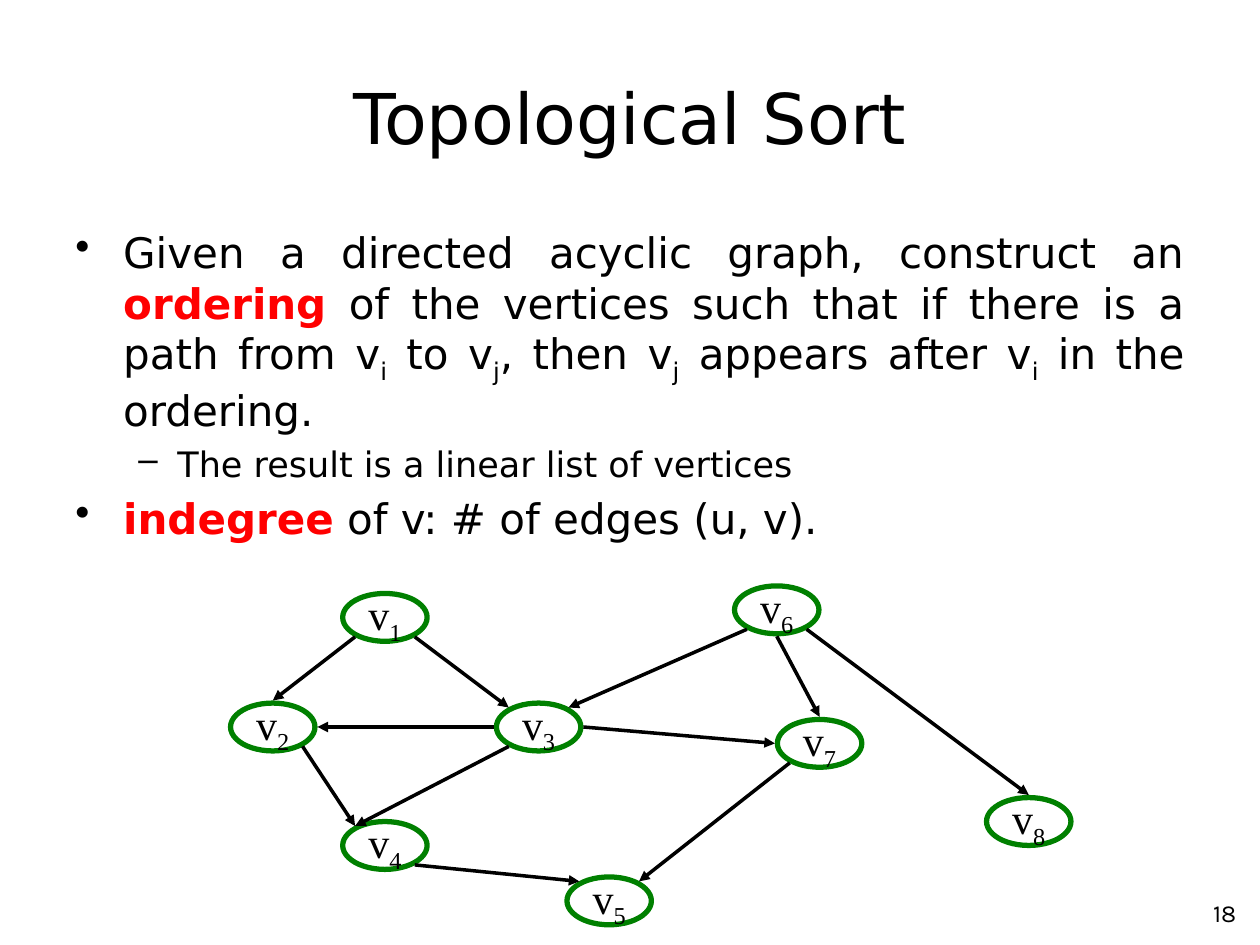
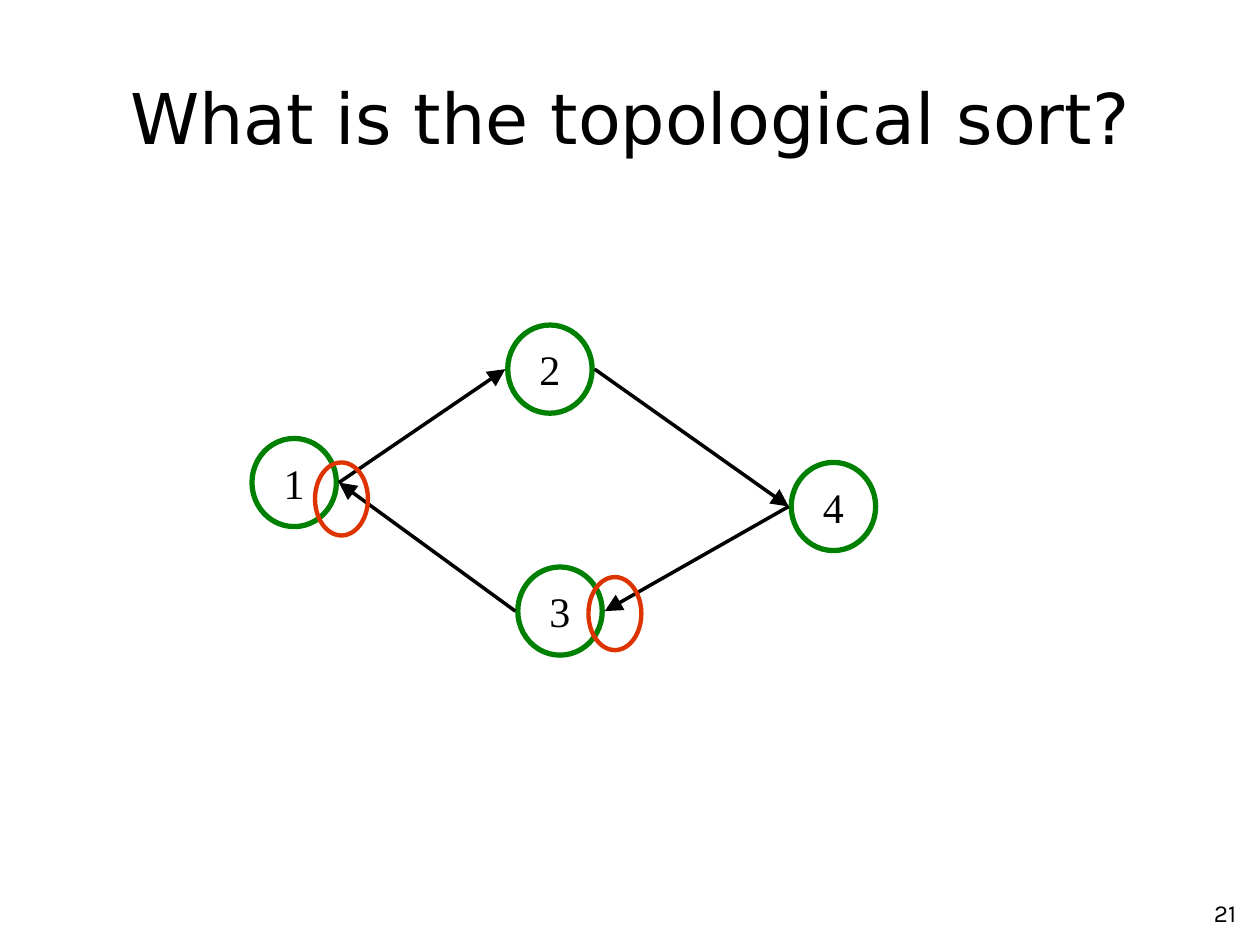
from lxml import etree
from pptx import Presentation
from pptx import util as u
from pptx.dml.color import RGBColor
from pptx.enum import shapes, text
from pptx.oxml import ns

BLACK, WHITE, RED, GREEN, ORANGE = "000000", "FFFFFF", "FF0000", "008000", "DD3300"
SANS, SERIF, NUMBER_FONT = "DejaVu Sans", "Times New Roman", "Karla"
STROKE_GAP = 0.02

BULLETS = [
    (0, [("Given a directed acyclic graph, construct an ", ""), ("ordering", "key"),
         (" of the vertices such that if there is a path from v", ""), ("i", "sub"),
         (" to v", ""), ("j", "sub"), (", then v", ""), ("j", "sub"),
         (" appears after v", ""), ("i", "sub"), (" in the ordering.", "")]),
    (1, [("The result is a linear list of vertices", "")]),
    (0, [("indegree", "key"), (" of v: # of edges (u, v).", "")]),
]
LEVELS = [
    {"bullet": "•", "size": 24, "indent": 0.38, "hanging": 0.38},
    {"bullet": "–", "size": 20, "indent": 0.81, "hanging": 0.31},
]

DAG = {
    "node_size": (0.67, 0.38),
    "arrow": "med",
    "nodes": {
        "v1": (2.72, 4.71), "v2": (1.83, 5.58), "v3": (3.94, 5.58), "v4": (2.72, 6.52),
        "v5": (4.5, 6.96), "v6": (5.83, 4.65), "v7": (6.17, 5.71), "v8": (7.83, 6.33),
    },
    "edges": [
        ("v1", "bottom right", "v3", "top left"),
        ("v1", "bottom left", "v2", "top"),
        ("v2", "bottom right", "v4", "top left"),
        ("v3", "left", "v2", "right"),
        ("v3", "bottom left", "v4", "top left"),
        ("v3", "right", "v7", "left"),
        ("v4", "bottom right", "v5", "top left"),
        ("v6", "bottom left", "v3", "top right"),
        ("v6", "bottom", "v7", "top"),
        ("v6", "bottom right", "v8", "top"),
        ("v7", "bottom left", "v5", "top right"),
    ],
}
CYCLE = {
    "node_size": (0.67, 0.7),
    "arrow": "lg",
    "nodes": {"1": (2, 3.48), "2": (4.03, 2.58), "3": (4.11, 4.5), "4": (6.28, 3.67)},
    "edges": [
        ("1", "right", "2", "left"),
        ("2", "right", "4", "left"),
        ("4", "left", "3", "right"),
        ("3", "left", "1", "right"),
    ],
}
ARROWHEAD_MARKS = [(4.67, 4.58), (2.5, 3.67)]
MARK_SIZE = (0.42, 0.58)


def color(value):
    return RGBColor.from_string(value)


def inches(*values):
    return [u.Inches(value) for value in values]


def add_run(paragraph, content, style, size, font):
    run = paragraph.add_run()
    run.text = content
    run.font.name, run.font.size = font, u.Pt(size)
    run.font.bold = style == "key"
    run.font.color.rgb = color(RED if style == "key" else BLACK)
    if style == "sub":
        run.font._element.set("baseline", "-25000")


def add_text(slide, box, content, size, font, align, anchor=text.MSO_ANCHOR.TOP):
    frame = slide.shapes.add_textbox(*inches(*box)).text_frame
    frame.word_wrap = True
    frame.vertical_anchor = anchor
    paragraph = frame.paragraphs[0]
    paragraph.alignment = align
    add_run(paragraph, content, "", size, font)


def set_bullet(paragraph, level):
    properties = paragraph._p.get_or_add_pPr()
    properties.set("marL", str(u.Inches(level["indent"])))
    properties.set("indent", str(-u.Inches(level["hanging"])))
    bullet_color = etree.SubElement(properties, ns.qn("a:buClr"))
    etree.SubElement(bullet_color, ns.qn("a:srgbClr"), val=BLACK)
    etree.SubElement(properties, ns.qn("a:buChar"), char=level["bullet"])


def add_bullets(slide):
    frame = slide.shapes.add_textbox(*inches(0.5, 1.75, 9, 4.95)).text_frame
    frame.word_wrap = True
    for index, (depth, pieces) in enumerate(BULLETS):
        level = LEVELS[depth]
        paragraph = frame.add_paragraph() if index else frame.paragraphs[0]
        paragraph.level = depth
        set_bullet(paragraph, level)
        paragraph.alignment = text.PP_ALIGN.JUSTIFY
        if index:
            paragraph.space_before = u.Pt(level["size"] * 0.2)
        for content, style in pieces:
            add_run(paragraph, content, style, level["size"], SANS)


def add_ellipse(slide, position, size, line_color, line_width):
    shape = slide.shapes.add_shape(shapes.MSO_SHAPE.OVAL, *inches(*position, *size))
    shape.shadow.inherit = False
    shape.fill.background()
    shape.line.color.rgb = color(line_color)
    shape.line.width = u.Pt(line_width)
    return shape


def add_node(slide, label, position, size):
    frame = add_ellipse(slide, position, size, GREEN, 3).text_frame
    frame.word_wrap = False
    frame.vertical_anchor = text.MSO_ANCHOR.MIDDLE
    paragraph = frame.paragraphs[0]
    paragraph.alignment = text.PP_ALIGN.CENTER
    add_run(paragraph, label[0], "", 24, SERIF)
    if label[1:]:
        add_run(paragraph, label[1:], "sub", 24, SERIF)


def rim_point(position, size, side):
    horizontal = ("right" in side) - ("left" in side)
    vertical = ("bottom" in side) - ("top" in side)
    reach = 0.5 ** 0.5 if horizontal and vertical else 1
    x = position[0] + size[0] / 2 * (1 + horizontal * reach)
    y = position[1] + size[1] / 2 * (1 + vertical * reach)
    if vertical:
        return x, y + vertical * STROKE_GAP
    return x + horizontal * STROKE_GAP, y


def add_arrow(slide, start, end, head_size):
    connector = slide.shapes.add_connector(
        shapes.MSO_CONNECTOR.STRAIGHT, *inches(*start, *end))
    connector.line.color.rgb = color(BLACK)
    connector.line.width = u.Pt(2)
    etree.SubElement(connector.line._get_or_add_ln(), ns.qn("a:tailEnd"),
                     type="triangle", w=head_size, len=head_size)
    etree.SubElement(connector._element.spPr, ns.qn("a:effectLst"))


def add_graph(slide, graph):
    nodes, size = graph["nodes"], graph["node_size"]
    for label, position in nodes.items():
        add_node(slide, label, position, size)
    for source, source_side, target, target_side in graph["edges"]:
        add_arrow(slide, rim_point(nodes[source], size, source_side),
                  rim_point(nodes[target], size, target_side), graph["arrow"])


def add_slide(presentation, title, number):
    slide = presentation.slides.add_slide(presentation.slide_layouts[6])
    slide.background.fill.solid()
    slide.background.fill.fore_color.rgb = color(WHITE)
    add_text(slide, (7.83, 7.08, 2.08, 0.37), number, 14, NUMBER_FONT, text.PP_ALIGN.RIGHT)
    add_text(slide, (0.5, 0.3, 9, 1.25), title, 40, SANS, text.PP_ALIGN.CENTER,
             text.MSO_ANCHOR.MIDDLE)
    return slide


def main():
    presentation = Presentation()
    presentation.slide_width, presentation.slide_height = inches(10, 7.5)

    slide = add_slide(presentation, "Topological Sort", "18")
    add_bullets(slide)
    add_graph(slide, DAG)

    slide = add_slide(presentation, "What is the topological sort?", "21")
    add_graph(slide, CYCLE)
    for position in ARROWHEAD_MARKS:
        add_ellipse(slide, position, MARK_SIZE, ORANGE, 2.5)

    presentation.save("out.pptx")


if __name__ == "__main__":
    main()
